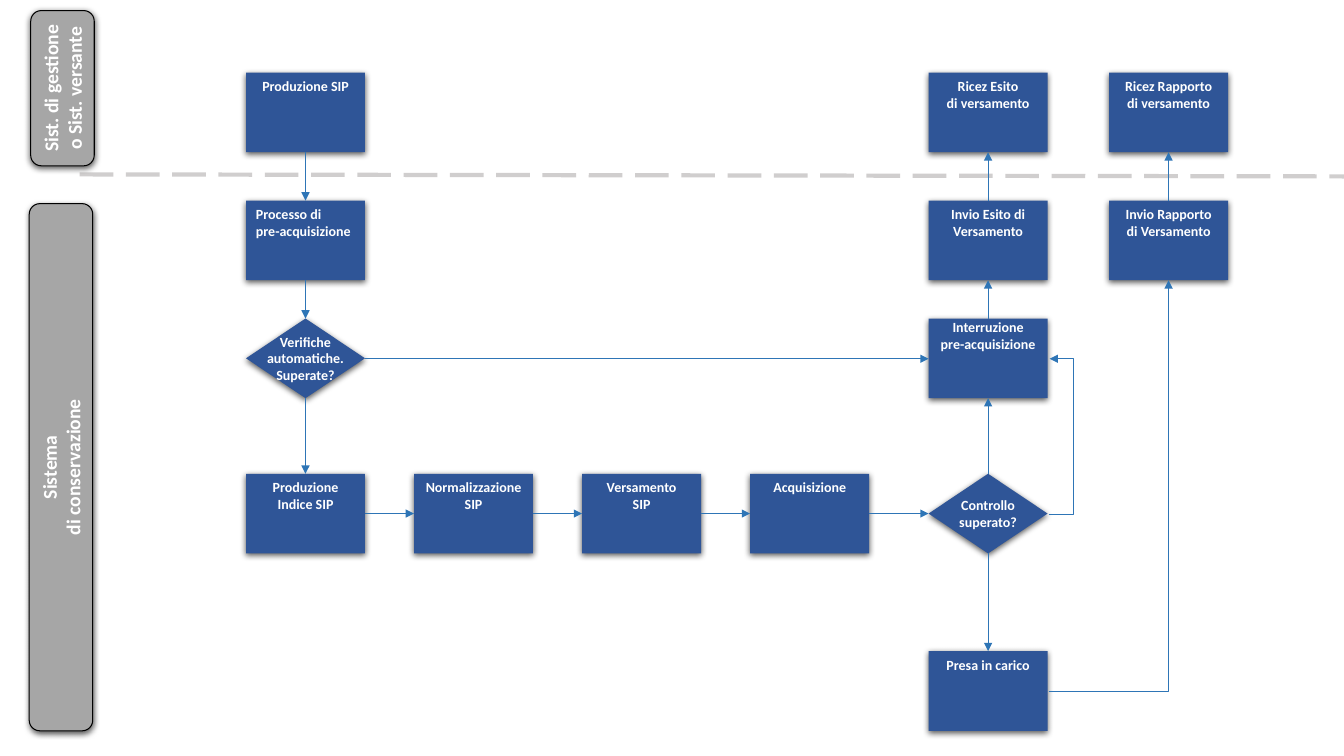
from dataclasses import dataclass, field

from lxml import etree
from pptx import Presentation
from pptx.dml.color import RGBColor
from pptx.enum.dml import MSO_LINE
from pptx.enum.shapes import MSO_CONNECTOR, MSO_SHAPE
from pptx.enum.text import MSO_ANCHOR, MSO_AUTO_SIZE, PP_ALIGN
from pptx.oxml.ns import qn
from pptx.util import Inches, Pt

RECTANGLE, DIAMOND, LANE = MSO_SHAPE.RECTANGLE, MSO_SHAPE.DIAMOND, MSO_SHAPE.ROUNDED_RECTANGLE
STRAIGHT, ELBOW = MSO_CONNECTOR.STRAIGHT, MSO_CONNECTOR.ELBOW
LEFT_ALIGN, CENTER = PP_ALIGN.LEFT, PP_ALIGN.CENTER
TOP, LEFT, BOTTOM, RIGHT = range(4)

COLORS = {"node": "2F5597", "arrow": "2E75B6", "lane": "A6A6A6", "lane_edge": "000000",
          "divider": "D0CECE", "text": "FFFFFF", "shadow": "000000"}
FONT_FORMAT = {"name": "Calibri", "bold": True}
FRAME_FORMATS = {
    RECTANGLE: {"word_wrap": True, "vertical_anchor": MSO_ANCHOR.TOP,
                "auto_size": MSO_AUTO_SIZE.SHAPE_TO_FIT_TEXT},
    DIAMOND: {"word_wrap": False, "vertical_anchor": MSO_ANCHOR.MIDDLE},
    LANE: {"word_wrap": True, "vertical_anchor": MSO_ANCHOR.TOP,
           "auto_size": MSO_AUTO_SIZE.SHAPE_TO_FIT_TEXT},
}
TIGHT_INSETS = {"margin_left": Inches(0.04), "margin_top": 0,
                "margin_right": Inches(0.04), "margin_bottom": 0}

NODE_WIDTH, NODE_HEIGHT = 1.18, 0.79
COLUMNS = [2.44 + index * 5 / 3 for index in range(4)] + [9.21, 11]
ROWS = [0.72, 1.99, 3.16, 4.7, 6.46]


@dataclass
class Node:
    column: int
    row: int
    text: str
    kind: int = RECTANGLE
    alignment: int = CENTER
    frame_format: dict = field(default_factory=dict)


@dataclass
class Arrow:
    start: str
    start_side: int
    end: str
    end_side: int


@dataclass
class Elbow:
    start: tuple
    end: tuple
    preset: str = "bentConnector3"
    bend: int = 50000


@dataclass
class Lane:
    left: float
    top: float
    width: float
    height: float
    text: str


NODES = {
    "produce": Node(0, 0, "Produzione SIP"),
    "prepare": Node(0, 1, "Processo di\npre-acquisizione", alignment=LEFT_ALIGN),
    "verify": Node(0, 2, "Verifiche\nautomatiche.\nSuperate?", DIAMOND),
    "index": Node(0, 3, "Produzione Indice SIP"),
    "normalize": Node(1, 3, "Normalizzazione\nSIP"),
    "deposit": Node(2, 3, "Versamento\nSIP"),
    "acquire": Node(3, 3, "Acquisizione"),
    "check": Node(4, 3, "Controllo\nsuperato?", DIAMOND),
    "interrupt": Node(4, 2, "Interruzione\npre-acquisizione", frame_format=TIGHT_INSETS),
    "send_result": Node(4, 1, "Invio Esito di Versamento"),
    "get_result": Node(4, 0, "Ricez Esito\ndi versamento"),
    "accept": Node(4, 4, "Presa in carico"),
    "send_report": Node(5, 1, "Invio Rapporto\ndi Versamento"),
    "get_report": Node(5, 0, "Ricez Rapporto\ndi versamento"),
}
ARROWS = [
    Arrow("produce", BOTTOM, "prepare", TOP),
    Arrow("prepare", BOTTOM, "verify", TOP),
    Arrow("verify", BOTTOM, "index", TOP),
    Arrow("index", RIGHT, "normalize", LEFT),
    Arrow("normalize", RIGHT, "deposit", LEFT),
    Arrow("deposit", RIGHT, "acquire", LEFT),
    Arrow("acquire", RIGHT, "check", LEFT),
    Arrow("check", TOP, "interrupt", BOTTOM),
    Arrow("check", BOTTOM, "accept", TOP),
    Arrow("interrupt", TOP, "send_result", BOTTOM),
    Arrow("send_result", TOP, "get_result", BOTTOM),
    Arrow("send_report", TOP, "get_report", BOTTOM),
]
ELBOWS = [
    Elbow((3.62, 3.56), (9.21, 3.56)),
    Elbow((10.4, 5.1), (10.41, 3.56), bend=2500000),
    Elbow((10.4, 6.86), (11.59, 2.78), preset="bentConnector2"),
]
LANES = [
    Lane(-0.15, 0.56, 1.54, 0.63, "Sist. di gestione o Sist. versante"),
    Lane(-2.01, 4.32, 5.23, 0.63, "Sistema\ndi conservazione"),
]


def color(name: str) -> RGBColor:
    return RGBColor.from_string(COLORS[name])


def apply_format(target, values: dict) -> None:
    for name, value in values.items():
        setattr(target, name, value)


def add_box(slide, kind: int, bounds: tuple, fill: str, text: str, size: int,
            alignment: int = CENTER, frame_format: dict = {}):
    shape = slide.shapes.add_shape(kind, *map(Inches, bounds))
    shape.fill.solid()
    shape.fill.fore_color.rgb = color(fill)
    shape.line.fill.background()

    # Soft shadow straight below
    shape.shadow.inherit = False
    effects = shape._element.spPr.find(qn("a:effectLst"))
    shadow = etree.SubElement(effects, qn("a:outerShdw"), blurRad="57150", dist="19050",
                              dir="5400000", algn="ctr", rotWithShape="0")
    shade = etree.SubElement(shadow, qn("a:srgbClr"), val=COLORS["shadow"])
    etree.SubElement(shade, qn("a:alpha"), val="63000")

    # Label
    frame = shape.text_frame
    frame.text = text
    apply_format(frame, {**FRAME_FORMATS[kind], **frame_format})
    for paragraph in frame.paragraphs:
        paragraph.alignment = alignment
        apply_format(paragraph.font, {**FONT_FORMAT, "size": Pt(size)})
        paragraph.font.color.rgb = color("text")
    return shape


def add_line(slide, kind: int, start: tuple, end: tuple, line_color: str, width: float):
    connector = slide.shapes.add_connector(kind, *map(Inches, start + end))
    connector.line.color.rgb = color(line_color)
    connector.line.width = Pt(width)
    etree.SubElement(connector._element.spPr, qn("a:effectLst"))
    return connector


def add_arrow(slide, kind: int, start: tuple = (0, 0), end: tuple = (0, 0)):
    connector = add_line(slide, kind, start, end, "arrow", 0.5)
    line = connector._element.spPr.find(qn("a:ln"))
    etree.SubElement(line, qn("a:tailEnd"), type="triangle")
    return connector


def add_elbow(slide, elbow: Elbow) -> None:
    connector = add_arrow(slide, ELBOW, elbow.start, elbow.end)
    geometry = connector._element.spPr.find(qn("a:prstGeom"))
    geometry.set("prst", elbow.preset)
    if elbow.preset == "bentConnector3":
        etree.SubElement(geometry.find(qn("a:avLst")), qn("a:gd"),
                         name="adj1", fmla=f"val {elbow.bend}")


def main() -> None:
    presentation = Presentation()
    presentation.slide_width = Inches(13.33)
    presentation.slide_height = Inches(7.5)
    slide = presentation.slides.add_slide(presentation.slide_layouts[6])

    # Divider between the two systems
    divider = add_line(slide, STRAIGHT, (0.79, 1.73), (13.33, 1.75), "divider", 3)
    divider.line.dash_style = MSO_LINE.LONG_DASH

    # Process steps
    shapes = {}
    for name, node in NODES.items():
        bounds = (COLUMNS[node.column], ROWS[node.row], NODE_WIDTH, NODE_HEIGHT)
        shapes[name] = add_box(slide, node.kind, bounds, "node", node.text, 10,
                               node.alignment, node.frame_format)

    # Flow
    for arrow in ARROWS:
        connector = add_arrow(slide, STRAIGHT)
        connector.begin_connect(shapes[arrow.start], arrow.start_side)
        connector.end_connect(shapes[arrow.end], arrow.end_side)
    for elbow in ELBOWS:
        add_elbow(slide, elbow)

    # Lane titles
    for lane in LANES:
        bounds = (lane.left, lane.top, lane.width, lane.height)
        title = add_box(slide, LANE, bounds, "lane", lane.text, 14)
        title.rotation = 270
        title.line.color.rgb = color("lane_edge")
        title.line.width = Pt(0.75)

    presentation.save("out.pptx")


if __name__ == "__main__":
    main()
